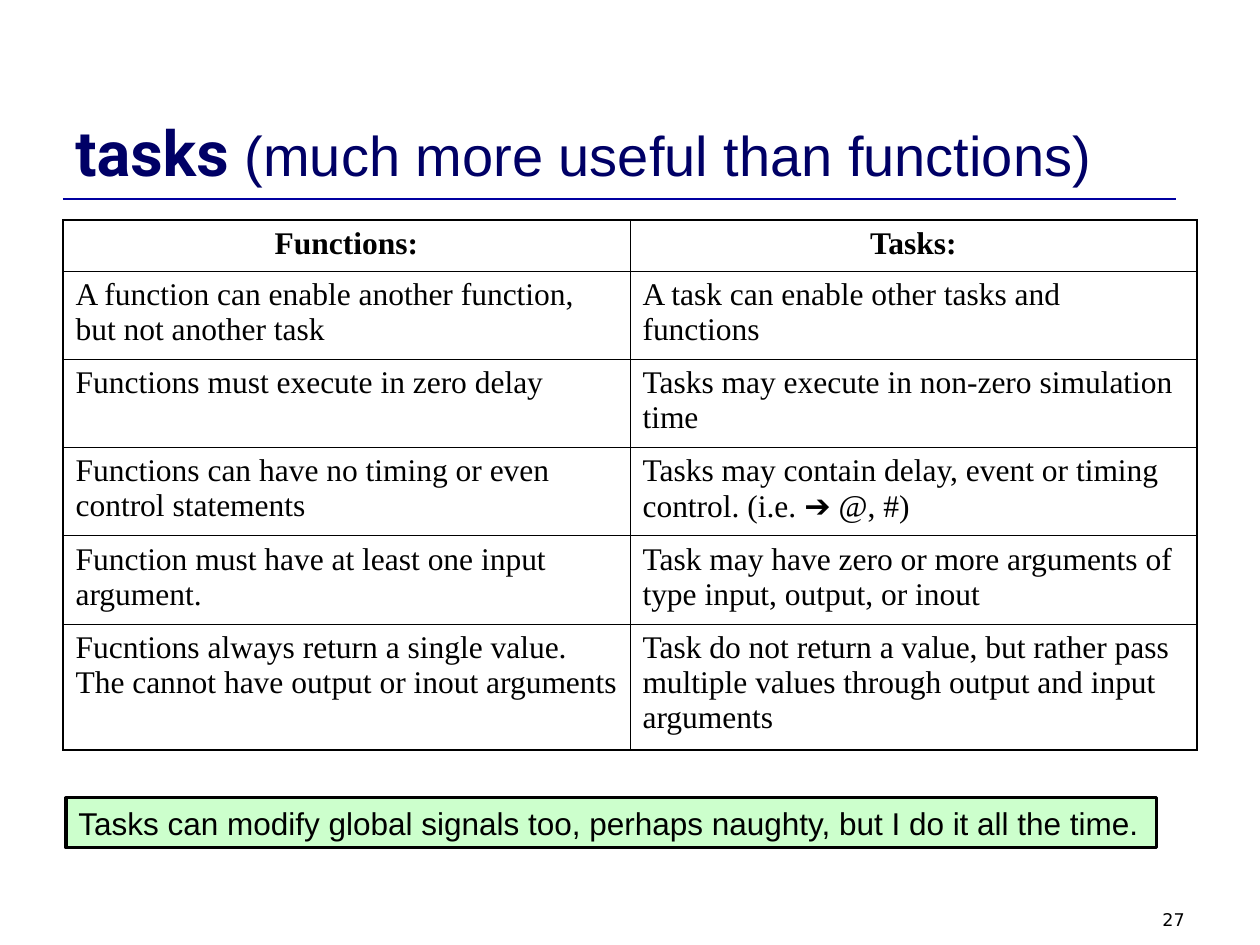
from pptx import Presentation
from pptx.dml.color import RGBColor
from pptx.enum.shapes import MSO_CONNECTOR as Conn, MSO_SHAPE as Shape
from pptx.enum.text import MSO_ANCHOR as Anchor, PP_ALIGN as Align
from pptx.oxml import parse_xml
from pptx.oxml.ns import nsdecls
from pptx.util import Pt

PX = 914400 // 126
SERIF = "Times New Roman"
TITLE = [("tasks ", "Roboto", 36, True),
         ("(much more useful than functions)", "Arial", 32, False)]
ROWS = [
    ("Functions:", "Tasks:"),
    ("A function can enable another function, but not another task",
     "A task can enable other tasks and functions"),
    ("Functions must execute in zero delay",
     "Tasks may execute in non-zero simulation time"),
    ("Functions can have no timing or even control statements",
     "Tasks may contain delay, event or timing control. (i.e. ➔ @, #)"),
    ("Function must have at least one input argument.",
     "Task may have zero or more arguments of type input, output, or inout"),
    ("Fucntions always return a single value.  The cannot have output or inout arguments",
     "Task do not return a value, but rather pass multiple values through output and input arguments"),
]
HIGH = [51, 88, 88, 88, 88, 126]
NOTE = "Tasks can modify global signals too, perhaps naughty, but I do it all the time."


def box(*nums):
    return [n * PX for n in nums]


def color(text):
    return RGBColor.from_string(text)


def style(font, name, size, bold=False, tint="000000"):
    font.name, font.size, font.bold = name, Pt(size), bold
    font.color.rgb = color(tint)


def border(cell, sides):
    props = cell._tc.get_or_add_tcPr()
    for i, (side, outer) in enumerate(sides):
        width = Pt(1.08 if outer else 0.45)
        props.insert(i, parse_xml(
            f'<a:ln{side} {nsdecls("a")} w="{width}"><a:solidFill>'
            f'<a:srgbClr val="000000"/></a:solidFill></a:ln{side}>'))


def fill_cell(cell, text, head):
    cell.fill.background()
    para = cell.text_frame.paragraphs[0]
    para.space_before = Pt(4.5)
    para.alignment = Align.CENTER if head else Align.LEFT
    style(para.font, SERIF, 18, head)
    left, arrow, right = text.partition("➔")
    for part in filter(None, (left, arrow, right)):
        run = para.add_run()
        run.text = part
        style(run.font, "Arial" if part == arrow else SERIF, 18, head)


deck = Presentation()
deck.slide_width, deck.slide_height = box(1260, 945)
slide = deck.slides.add_slide(deck.slide_layouts[6])
shapes = slide.shapes

rule = shapes.add_connector(Conn.STRAIGHT, *box(63, 199, 1176, 199))
rule.line.color.rgb = color("0000A0")
rule.line.width = Pt(1.5)
rule._element.spPr.append(parse_xml(f'<a:effectLst {nsdecls("a")}/>'))

page = shapes.add_textbox(*box(903, 903, 294, 32)).text_frame
page.word_wrap = True
para = page.paragraphs[0]
para.text, para.alignment = "27", Align.RIGHT
style(para.font, "DejaVu Sans", 10)

title = shapes.add_textbox(*box(63, 38, 1134, 157)).text_frame
title.word_wrap = True
title.vertical_anchor = Anchor.BOTTOM
for text, name, size, bold in TITLE:
    run = title.paragraphs[0].add_run()
    run.text = text
    style(run.font, name, size, bold, "000066")

grid = shapes.add_table(len(ROWS), 2, *box(63, 220, 1134, sum(HIGH))).table
grid.first_row = grid.horz_banding = False
for r, (row, high) in enumerate(zip(ROWS, HIGH)):
    grid.rows[r].height = high * PX
    for c, text in enumerate(row):
        cell = grid.cell(r, c)
        fill_cell(cell, text, r == 0)
        border(cell, [("L", c == 0), ("R", c == 1),
                      ("T", r == 0), ("B", r == len(ROWS) - 1)])

note = shapes.add_shape(Shape.RECTANGLE, *box(66, 798, 1091, 50))
note.shadow.inherit = False
note.fill.solid()
note.fill.fore_color.rgb = color("CCFFCC")
note.line.color.rgb = color("000000")
note.line.width = Pt(1.75)
note.text_frame.word_wrap = False
para = note.text_frame.paragraphs[0]
para.text, para.alignment = NOTE, Align.LEFT
style(para.font, "Arial", 18)

deck.save("out.pptx")
